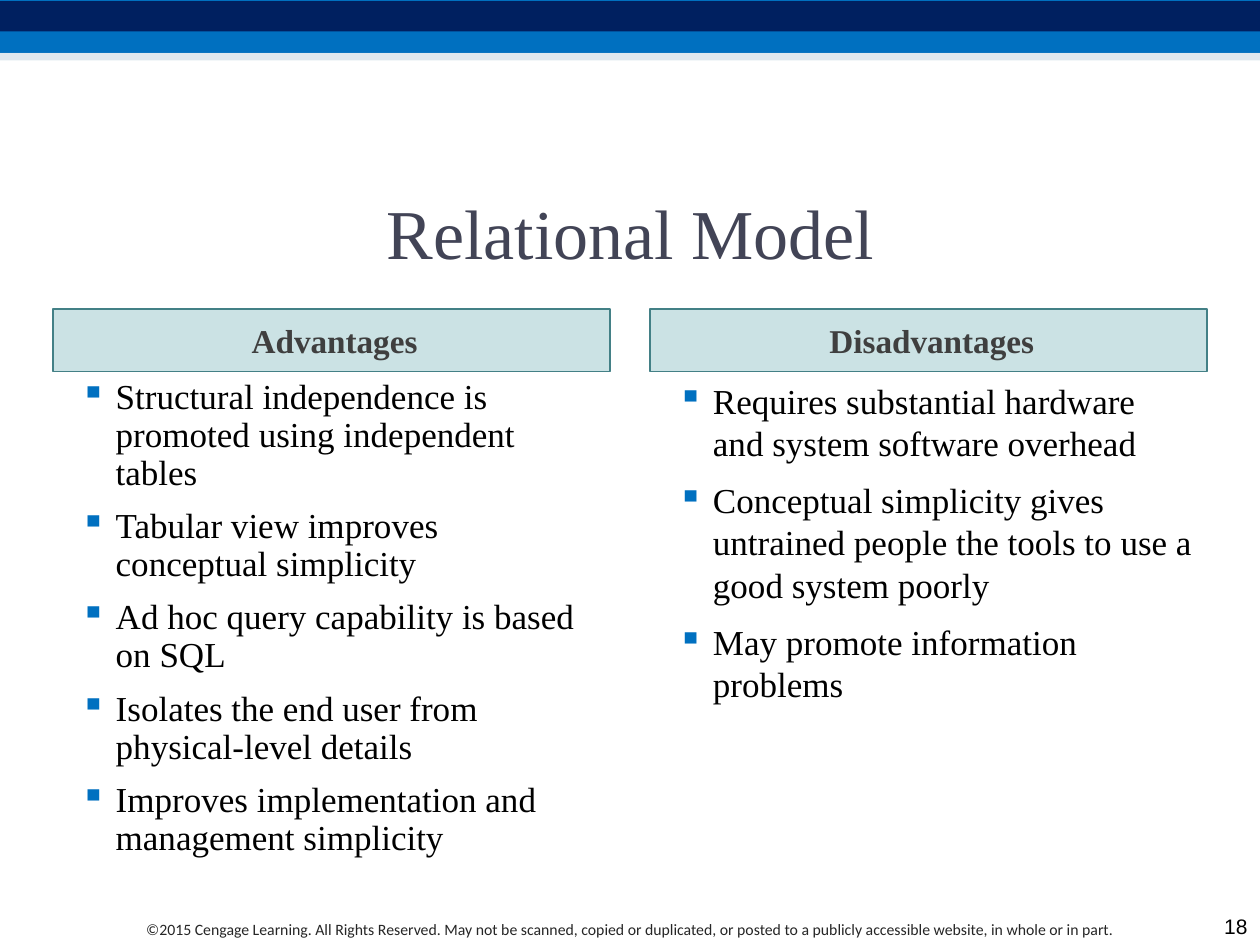
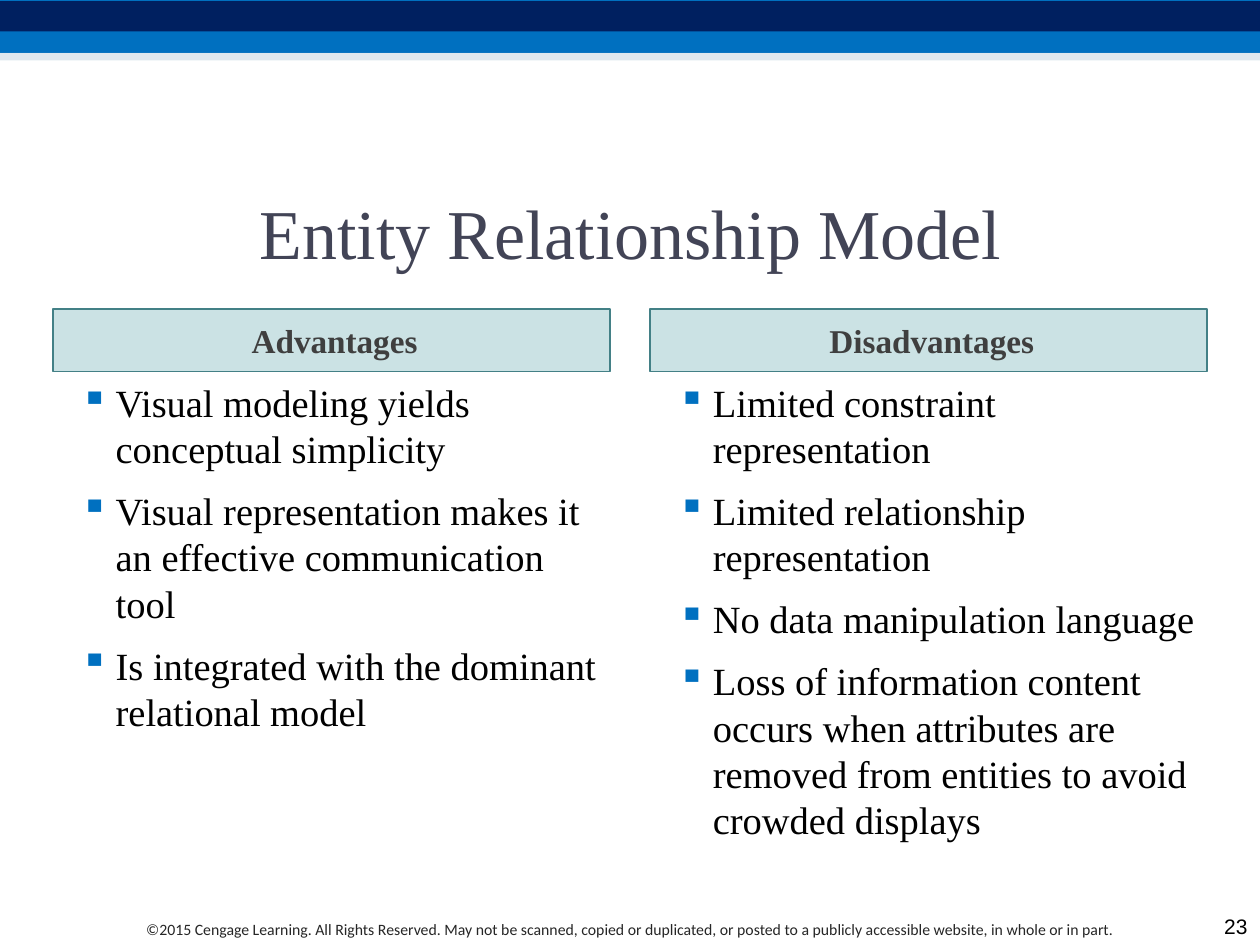
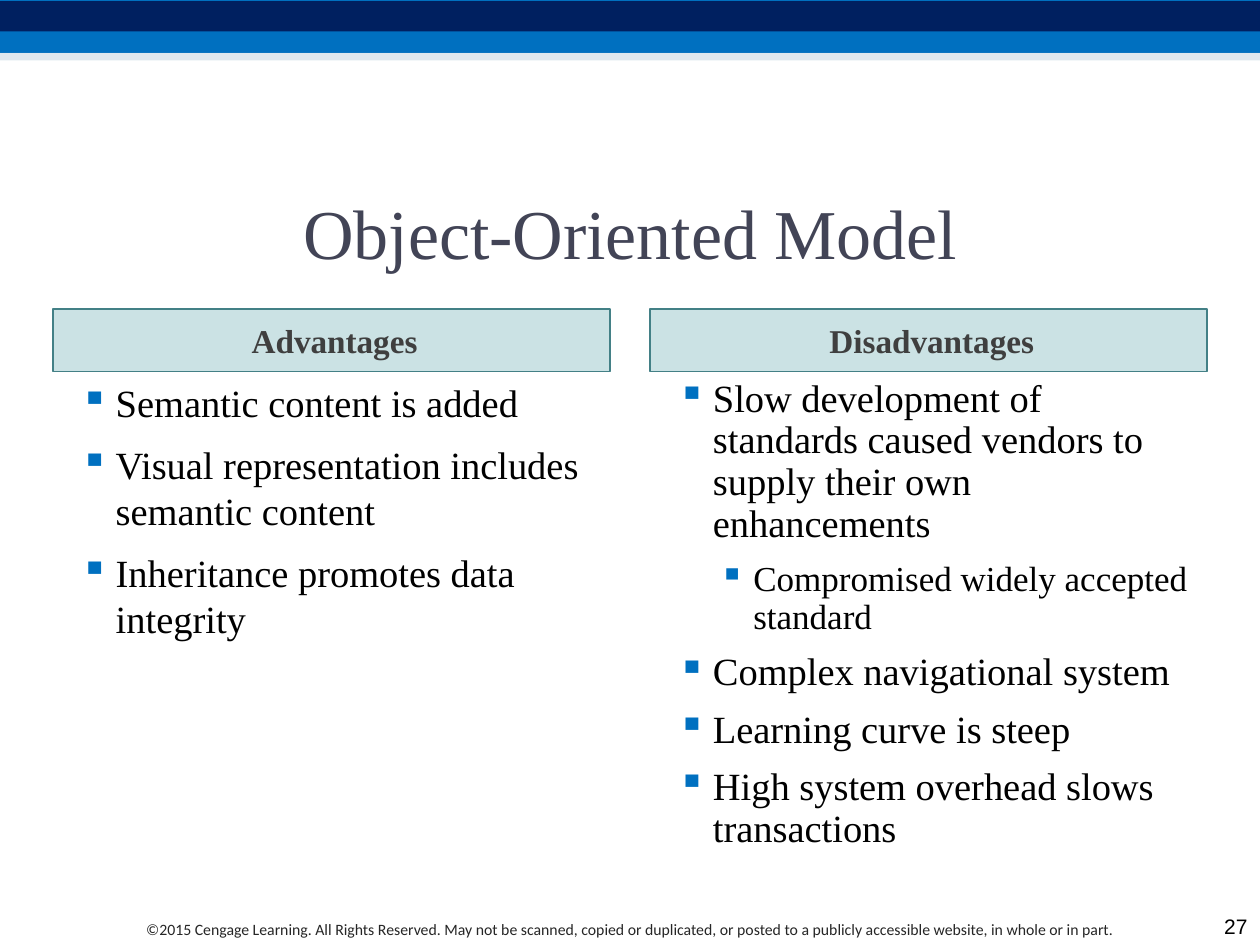
from lxml import etree
from pptx import Presentation
from pptx.dml.color import RGBColor
from pptx.enum.shapes import MSO_SHAPE
from pptx.enum.text import MSO_ANCHOR, MSO_AUTO_SIZE, PP_ALIGN
from pptx.oxml.ns import qn
from pptx.util import Inches, Pt

RECT = MSO_SHAPE.RECTANGLE
TOP, MIDDLE, BOTTOM = MSO_ANCHOR.TOP, MSO_ANCHOR.MIDDLE, MSO_ANCHOR.BOTTOM
LEFT, CENTER, RIGHT = PP_ALIGN.LEFT, PP_ALIGN.CENTER, PP_ALIGN.RIGHT
GROW = MSO_AUTO_SIZE.SHAPE_TO_FIT_TEXT

COLORS = {
    "blue": "0070C0", "navy": "002060", "pale": "BED3E1",
    "teal": "328E97", "edge": "438086", "title": "424456",
    "head": "3F3F3F", "foot": "262626", "black": "000000",
}
SERIF = "Times New Roman"
NOTICE = ("©2015 Cengage Learning. All Rights Reserved. May not be scanned, "
          "copied or duplicated, or posted to a publicly accessible website, "
          "in whole or in part.")

# Left, top, width, height, fill, opacity in percent
BANDS = [
    (0, 0, 10, 0.42, "blue", 100),
    (0, 0.01, 10, 0.24, "navy", 100),
    (0, 0.42, 10, 0.06, "pale", 50),
]
COLUMNS = [("Advantages", 0.42), ("Disadvantages", 5.16)]
WIDTH = 4.42
INDENTS = [(0.4, -0.28), (0.72, -0.27)]

# Title, page number, then size, line spacing and points of each column;
# a point is a text and its level
SLIDES = [
    ("Relational Model", "18", [
        (20, 0.9, [
            ("Structural independence is promoted using independent tables", 0),
            ("Tabular view improves conceptual simplicity", 0),
            ("Ad hoc query capability is based on SQL", 0),
            ("Isolates the end user from physical-level details", 0),
            ("Improves implementation and management simplicity", 0)]),
        (20, 1.0, [
            ("Requires substantial hardware and system software overhead", 0),
            ("Conceptual simplicity gives untrained people the tools to use "
             "a good system poorly", 0),
            ("May promote information problems", 0)]),
    ]),
    ("Entity Relationship Model", "23", [
        (22, 1.0, [
            ("Visual modeling yields conceptual simplicity", 0),
            ("Visual representation makes it an effective communication tool", 0),
            ("Is integrated with the dominant relational model", 0)]),
        (22, 1.0, [
            ("Limited constraint representation", 0),
            ("Limited relationship representation", 0),
            ("No data manipulation language", 0),
            ("Loss of information content occurs when attributes are removed "
             "from entities to avoid crowded displays", 0)]),
    ]),
    ("Object-Oriented Model", "27", [
        (22, 1.0, [
            ("Semantic content is added", 0),
            ("Visual representation includes semantic content", 0),
            ("Inheritance promotes data integrity", 0)]),
        (22, 0.9, [
            ("Slow development of standards caused vendors to supply their own "
             "enhancements", 0),
            ("Compromised widely accepted standard", 1),
            ("Complex navigational system", 0),
            ("Learning curve is steep", 0),
            ("High system overhead slows transactions", 0)]),
    ]),
]


def add_rect(slide, left, top, width, height, fill, alpha):
    box = slide.shapes.add_shape(
        RECT, Inches(left), Inches(top), Inches(width), Inches(height))
    box.shadow.inherit = False
    box.line.fill.background()
    box.fill.solid()
    box.fill.fore_color.rgb = RGBColor.from_string(COLORS[fill])
    if alpha < 100:
        tint = box.element.spPr.find(qn("a:solidFill"))[0]
        etree.SubElement(tint, qn("a:alpha"), val=str(alpha * 1000))
    return box


def add_text(slide, text, at=None, box=None, size=20, font=SERIF, color="black",
             bold=False, align=LEFT, anchor=TOP, margin=0, after=0, spacing=None,
             bullets=False):
    """Write one line, or a list of (text, level) points, in a box."""
    if box is None:
        box = slide.shapes.add_textbox(*[Inches(n) for n in at])
    frame = box.text_frame
    frame.word_wrap = True
    frame.vertical_anchor = anchor
    points = text if bullets else [(text, 0)]
    for i, (words, level) in enumerate(points):
        para = frame.paragraphs[0] if i == 0 else frame.add_paragraph()
        props = para._p.get_or_add_pPr()
        indent = 0
        if bullets:
            margin, indent = INDENTS[level]
            tint = etree.SubElement(props, qn("a:buClr"))
            etree.SubElement(tint, qn("a:srgbClr"), val=COLORS["blue"])
            etree.SubElement(props, qn("a:buChar"), char="▪")
        props.set("marL", str(Inches(margin)))
        props.set("indent", str(Inches(indent)))
        para.level = level
        para.alignment = align
        para.space_after = Pt(after)
        if i > 0:
            para.space_before = Pt(3)
        if spacing:
            para.line_spacing = spacing
        run = para.add_run()
        run.text = words
        run.font.name = font
        run.font.size = Pt(size - 2 * level)
        run.font.bold = bold
        run.font.color.rgb = RGBColor.from_string(COLORS[color])
    return box


deck = Presentation()
deck.slide_width, deck.slide_height = Inches(10), Inches(7.5)

for title, number, lists in SLIDES:
    slide = deck.slides.add_slide(deck.slide_layouts[6])

    # Bands and copyright line
    for band in BANDS:
        add_rect(slide, *band)
    foot = add_text(slide, NOTICE, at=(0.58, 7.25, 8.83, 0.25), size=9,
                    font="Calibri", color="foot", align=CENTER)
    foot.text_frame.auto_size = GROW

    # Title
    add_text(slide, title, at=(0.42, 1.25, 9.17, 1.17), size=40, color="title",
             align=CENTER, anchor=MIDDLE)

    # Column heads
    for head, left in COLUMNS:
        box = add_rect(slide, left, 2.45, WIDTH, 0.5, "teal", 25)
        box.line.color.rgb = RGBColor.from_string(COLORS["edge"])
        box.line.width = Pt(1)
        add_text(slide, head, box=box, size=19, color="head", bold=True,
                 align=CENTER, anchor=MIDDLE, margin=0.05, after=6)

    # Column points
    for (head, left), (size, spacing, points) in zip(COLUMNS, lists):
        add_text(slide, points, at=(left, 2.96, WIDTH, 4.25), size=size,
                 spacing=spacing, after=6, bullets=True)

    # Page number
    add_text(slide, number, at=(9.5, 7.17, 0.5, 0.33), size=12, font="Arial",
             align=RIGHT, anchor=BOTTOM)

deck.save("out.pptx")
